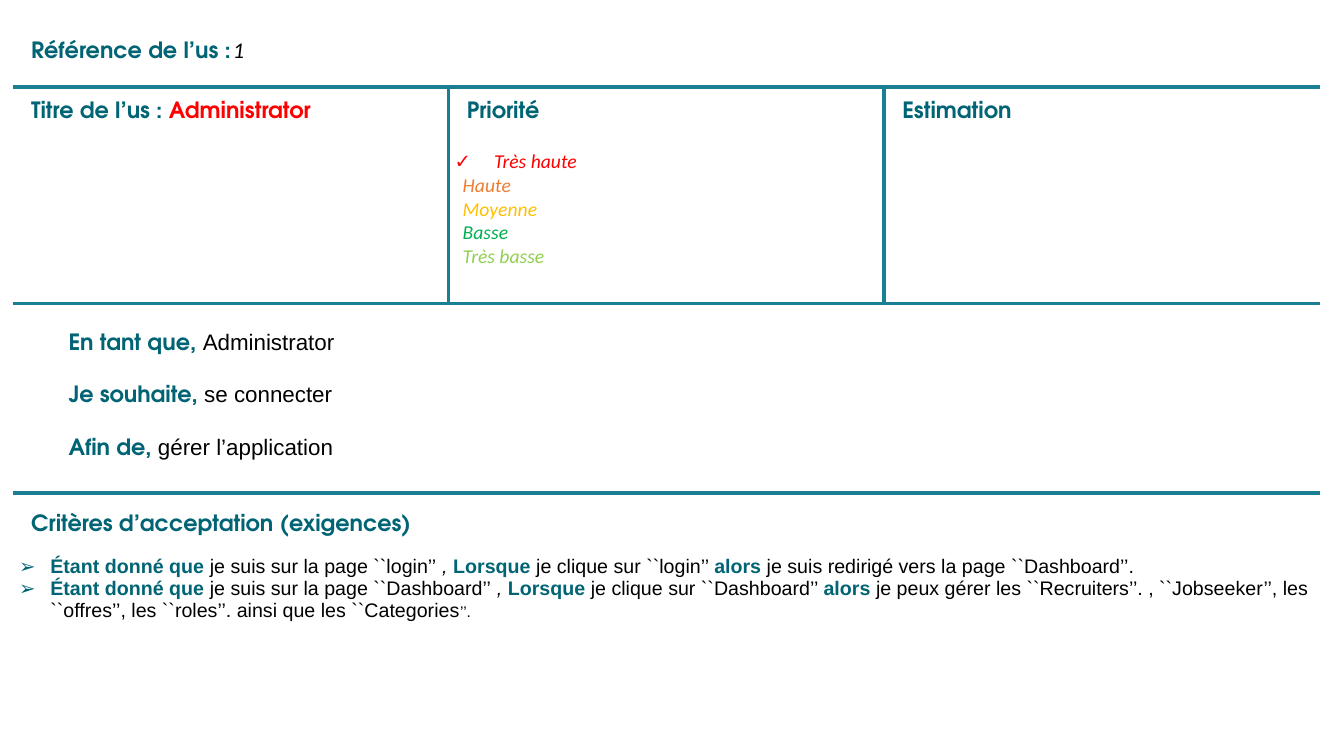
"""Builds a user story card as a one-slide table."""
from lxml.etree import SubElement
from pptx import Presentation
from pptx.dml.color import RGBColor
from pptx.oxml.ns import qn
from pptx.util import Inches, Pt

TEAL = RGBColor(0x00, 0x64, 0x74)
RULE = RGBColor(0x1A, 0x7F, 0x93)
BLACK = RGBColor(0, 0, 0)
WHITE = RGBColor(0xFF, 0xFF, 0xFF)
RED = RGBColor(0xFF, 0, 0)
ORANGE = RGBColor(0xED, 0x7D, 0x31)
YELLOW = RGBColor(0xFF, 0xC0, 0x00)
GREEN = RGBColor(0x00, 0xB0, 0x50)
LIME = RGBColor(0x92, 0xD0, 0x50)

HEAD = dict(name="TeX Gyre Adventor", size=Pt(16), bold=True, italic=False, color=TEAL)
ALERT = dict(HEAD, color=RED)
NUMBER = dict(name="Calibri", size=Pt(16), bold=False, italic=True, color=BLACK)
LEVEL = dict(NUMBER, size=Pt(14))
WISH = dict(name="Arial", size=Pt(16), bold=False, italic=False, color=BLACK)
BODY = dict(WISH, size=Pt(14))
KEY = dict(BODY, bold=True, color=TEAL)
COMMA = dict(BODY, italic=True)
SMALL = dict(BODY, size=Pt(11))


def add_par(cell, runs, before=0, left=0, hang=0, bullet=None):
    tf = cell.text_frame
    p = tf.paragraphs[0] if not tf.text else tf.add_paragraph()
    p.space_before = Pt(before)
    for text, style in runs:
        r = p.add_run()
        r.text = text
        for key, value in style.items():
            if key == "color":
                r.font.color.rgb = value
            else:
                setattr(r.font, key, value)
    pPr = p._p.get_or_add_pPr()
    pPr.set("marL", str(Inches(left)))
    pPr.set("indent", str(-Inches(hang)))
    if bullet:
        SubElement(pPr, qn("a:buFont"), typeface="Arial")
        SubElement(pPr, qn("a:buChar"), char=bullet)
    return pPr


def add_border(cell, side):
    ln = SubElement(cell._tc.get_or_add_tcPr(), qn(f"a:ln{side}"), w=str(Pt(3)))
    fill = SubElement(ln, qn("a:solidFill"))
    SubElement(fill, qn("a:srgbClr"), val=str(RULE))


prs = Presentation()
prs.slide_width, prs.slide_height = Inches(13.33), Inches(7.5)
s = prs.slides.add_slide(prs.slide_layouts[6])

heights = [0.69, 2.15, 1.88, 2.42]
tops = [0.2, 0.15, 0.27, 0.22]
lefts = [0.18, 0.18, 0.55, 0.06]
table = s.shapes.add_table(4, 3, Inches(0.13), Inches(0.17),
                           Inches(12.96), Inches(sum(heights))).table
table.first_row = table.horz_banding = False
for col in table.columns:
    col.width = Inches(4.32)
for i, height in enumerate(heights):
    table.rows[i].height = Inches(height)
    for j in range(3):
        cell = table.cell(i, j)
        if i == 1 and j > 0:
            add_border(cell, "L")
        if i == 1 and j < 2:
            add_border(cell, "R")
        if i > 0:
            add_border(cell, "T")
        if i < 3:
            add_border(cell, "B")
        cell.fill.solid()
        cell.fill.fore_color.rgb = WHITE
        cell.margin_left, cell.margin_right = Inches(lefts[i]), Inches(0.06)
        cell.margin_top, cell.margin_bottom = Inches(tops[i]), 0
    if i != 1:
        table.cell(i, 0).merge(table.cell(i, 2))

pPr = add_par(table.cell(0, 0), [("Référence de l’us\u00a0:", HEAD), ("\t1", NUMBER)])
tabs = SubElement(pPr, qn("a:tabLst"))
SubElement(tabs, qn("a:tab"), pos=str(Inches(2.18)), algn="l")

add_par(table.cell(1, 0), [("Titre de l’us : ", HEAD), ("Administrator", ALERT)])
add_par(table.cell(1, 2), [("Estimation", HEAD)])

priority = table.cell(1, 1)
priority.margin_left = Inches(0.06)
add_par(priority, [("Priorité", HEAD)], left=0.12)
add_par(priority, [("Très haute", dict(LEVEL, color=RED))], 19.5, 0.39, 0.39, "✓")
for level, color in [("Haute", ORANGE), ("Moyenne", YELLOW),
                     ("Basse", GREEN), ("Très basse", LIME)]:
    add_par(priority, [(level, dict(LEVEL, color=color))], left=0.08)

story = [("En tant que, ", "Administrator"), ("Je souhaite, ", "se connecter"),
         ("Afin de, ", "gérer l’application")]
for i, (label, wish) in enumerate(story):
    add_par(table.cell(2, 0), [(label, HEAD), (wish, WISH)], 19.5 if i else 0)

criteria = table.cell(3, 0)
add_par(criteria, [("Critères d’acceptation (exigences)", HEAD)], left=0.12)
cases = [
    ("login", " , ", [("je suis redirigé vers la page ``Dashboard’’.", BODY)]),
    ("Dashboard", " , ", [
        ("je peux gérer les ``Recruiters’’. , ``Jobseeker’’, les ``offres’’, "
         "les ``roles’’. ainsi que les ``Categories", BODY), ("’’.", SMALL)]),
]
for i, (page, comma, result) in enumerate(cases):
    runs = [("Étant donné que ", KEY), (f"je suis sur la page ``{page}’’", BODY),
            (comma, COMMA), ("Lorsque ", KEY), (f"je clique sur ``{page}’’ ", BODY),
            ("alors ", KEY)]
    add_par(criteria, runs + result, 0 if i else 14, 0.31, 0.31, "➢")

prs.save("out.pptx")
